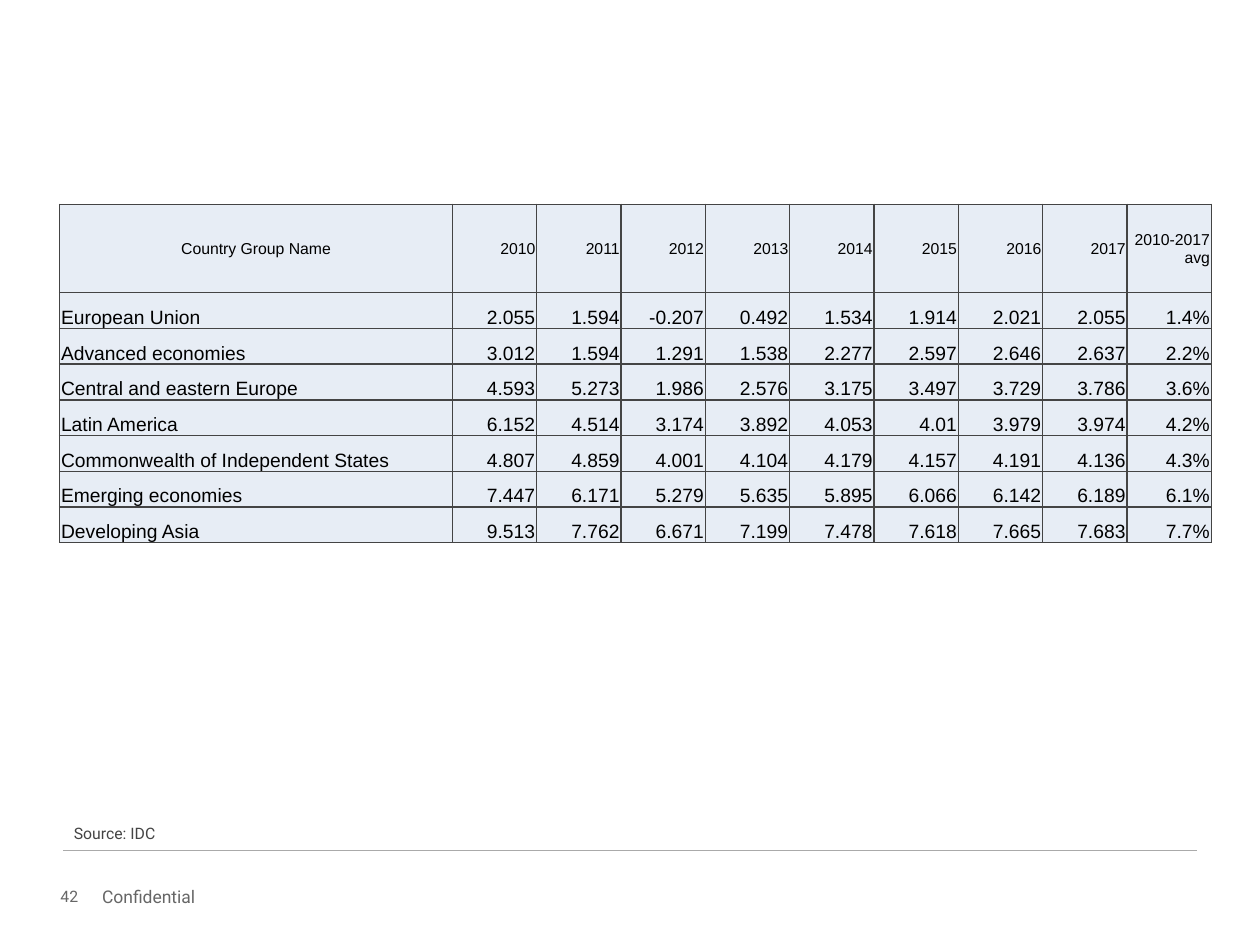
from lxml import etree
from pptx import Presentation
from pptx.dml.color import RGBColor
from pptx.enum.shapes import MSO_CONNECTOR
from pptx.enum.text import MSO_ANCHOR, PP_ALIGN
from pptx.oxml.ns import qn
from pptx.util import Cm, Pt

STRAIGHT = MSO_CONNECTOR.STRAIGHT
MIDDLE, BOTTOM, TOP = MSO_ANCHOR.MIDDLE, MSO_ANCHOR.BOTTOM, MSO_ANCHOR.TOP
LEFT, CENTER, RIGHT = PP_ALIGN.LEFT, PP_ALIGN.CENTER, PP_ALIGN.RIGHT

HEADER = ["Country Group Name", *map(str, range(2010, 2018)), "2010-2017 avg"]
GROWTH = [
    ("European Union", "2.055 1.594 -0.207 0.492 1.534 1.914 2.021 2.055 1.4%"),
    ("Advanced economies", "3.012 1.594 1.291 1.538 2.277 2.597 2.646 2.637 2.2%"),
    ("Central and eastern Europe", "4.593 5.273 1.986 2.576 3.175 3.497 3.729 3.786 3.6%"),
    ("Latin America", "6.152 4.514 3.174 3.892 4.053 4.01 3.979 3.974 4.2%"),
    ("Commonwealth of Independent States", "4.807 4.859 4.001 4.104 4.179 4.157 4.191 4.136 4.3%"),
    ("Emerging economies", "7.447 6.171 5.279 5.635 5.895 6.066 6.142 6.189 6.1%"),
    ("Developing Asia", "9.513 7.762 6.671 7.199 7.478 7.618 7.665 7.683 7.7%"),
]


def rgb(value):
    return RGBColor.from_string(value)


class Slide:
    """Hold the style and the current slide, and draw each kind of element."""

    DARK, GREY, RULE, FILL, BLACK = "444444", "666666", "AAAAAA", "E7EDF5", "000000"
    BODY, TABLE = "Roboto", "Arial"

    def __init__(self, prs):
        self.s = prs.slides.add_slide(prs.slide_layouts[6])

    def run(self, p, text, size, name, color, align=LEFT):
        p.alignment = align
        r = p.add_run()
        r.text = text
        for key, value in {"size": Pt(size), "name": name, "bold": False}.items():
            setattr(r.font, key, value)
        r.font.color.rgb = rgb(color)

    def text(self, x, y, w, h, text, size, color, anchor=TOP, margins=(0.25, 0.13, 0.25, 0.13)):
        tf = self.s.shapes.add_textbox(Cm(x), Cm(y), Cm(w), Cm(h)).text_frame
        tf.word_wrap = True
        tf.vertical_anchor = anchor
        self.inset(tf, margins)
        self.run(tf.paragraphs[0], text, size, self.BODY, color)

    def inset(self, target, margins):
        for side, value in zip(("left", "top", "right", "bottom"), margins):
            setattr(target, f"margin_{side}", Cm(value))

    def line(self, x1, y1, x2, y2):
        sp = self.s.shapes.add_connector(STRAIGHT, Cm(x1), Cm(y1), Cm(x2), Cm(y2))
        sp.line.color.rgb = rgb(self.RULE)
        sp.line.width = Pt(0.75)
        etree.SubElement(sp._element.spPr, qn("a:effectLst"))

    def border(self, cell):
        tcPr = cell._tc.get_or_add_tcPr()
        for tag in ("a:lnL", "a:lnR", "a:lnT", "a:lnB"):
            ln = etree.SubElement(tcPr, qn(tag), w=str(Pt(1)))
            fill = etree.SubElement(ln, qn("a:solidFill"))
            etree.SubElement(fill, qn("a:srgbClr"), val=self.DARK)

    def cell(self, cell, text, size, align, anchor):
        self.border(cell)
        cell.fill.solid()
        cell.fill.fore_color.rgb = rgb(self.FILL)
        cell.vertical_anchor = anchor
        self.inset(cell, (0.03, 0.03, 0.03, 0))
        self.run(cell.text_frame.paragraphs[0], text, size, self.TABLE, self.BLACK, align)

    def table(self, x, y, widths, heights, rows):
        frame = self.s.shapes.add_table(len(rows), len(widths), Cm(x), Cm(y),
                                        Cm(sum(widths)), Cm(sum(heights)))
        table = frame.table
        table.first_row = table.horz_banding = False
        for column, width in zip(table.columns, widths):
            column.width = Cm(width)
        for row, height in zip(table.rows, heights):
            row.height = Cm(height)
        for i, row in enumerate(rows):
            size, anchor, first = (11, BOTTOM, LEFT) if i else (9, MIDDLE, CENTER)
            for j, text in enumerate(row):
                self.cell(table.cell(i, j), text, size, RIGHT if j else first, anchor)


def main():
    prs = Presentation()
    prs.slide_width, prs.slide_height = Cm(25.4), Cm(19.05)
    s = Slide(prs)
    s.line(1.27, 17.15, 24.13, 17.15)
    footer = {"color": s.GREY, "anchor": MIDDLE, "margins": (0, 0, 0.25, 0)}
    s.text(1.22, 17.86, 0.71, 0.43, "42", 9, **footer)
    s.text(2.06, 17.86, 5.23, 0.43, "Confidential", 10, **footer)
    rows = [HEADER] + [[group, *values.split()] for group, values in GROWTH]
    s.table(1.2, 4.12, [7.92] + [1.7] * 9, [1.78] + [0.72] * len(GROWTH), rows)
    s.text(1.24, 16.48, 2.46, 0.64, "Source: IDC", 9, s.DARK)
    prs.save("out.pptx")


if __name__ == "__main__":
    main()
